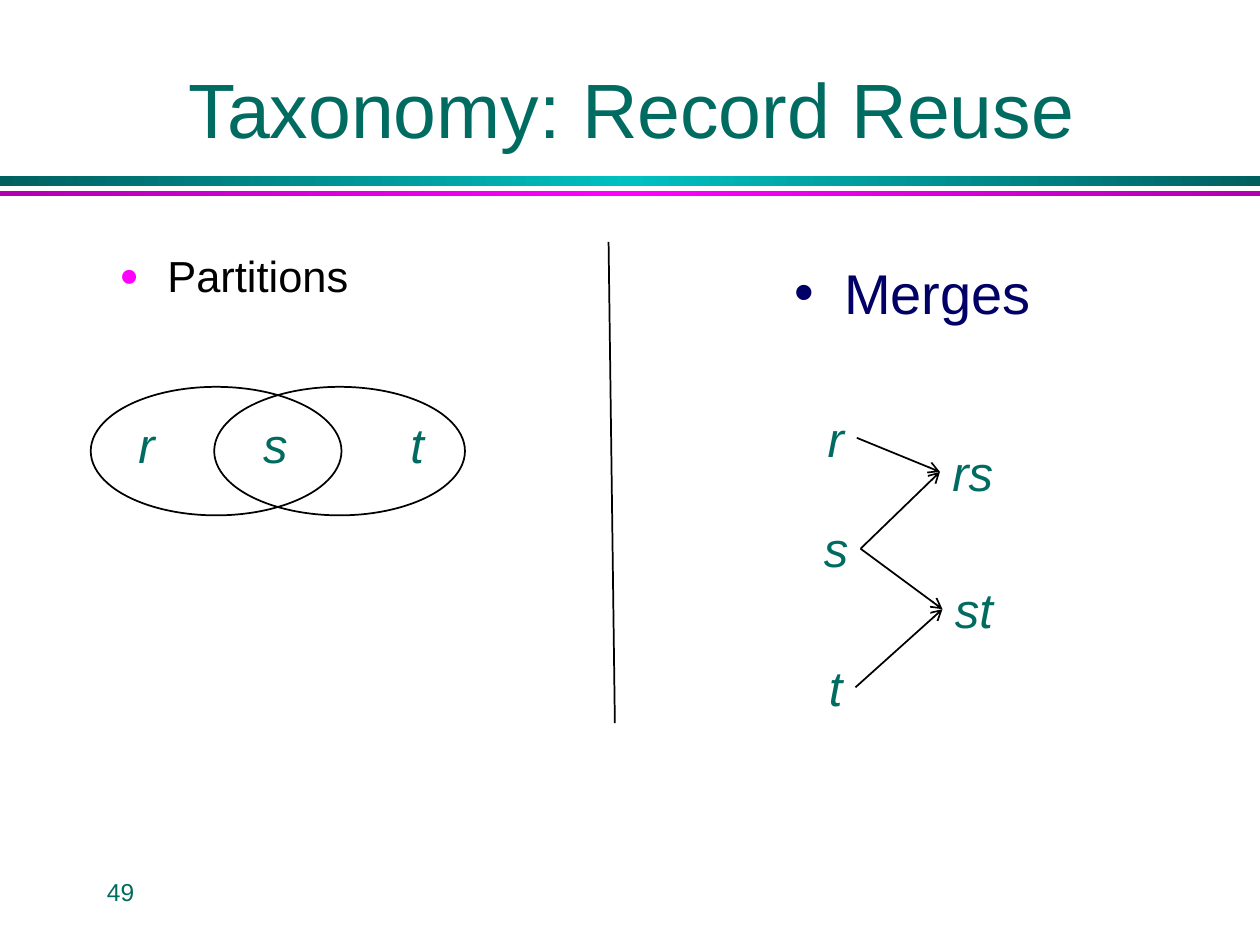
from copy import deepcopy
from pptx import Presentation
from pptx.dml.color import RGBColor
from pptx.enum.shapes import MSO_CONNECTOR as Line, MSO_SHAPE as Shape
from pptx.enum.text import MSO_ANCHOR as Anchor, PP_ALIGN as Align
from pptx.oxml.ns import qn
from pptx.util import Inches, Pt

TEAL = RGBColor(0x00, 0x6B, 0x61)
BLACK = RGBColor(0, 0, 0)
NAVY = RGBColor(0x00, 0x00, 0x66)
PINK = RGBColor(0xFF, 0x00, 0xFF)
PLUM = RGBColor(0xB2, 0x00, 0xB2)
CYAN = RGBColor(0x00, 0xC0, 0xC0)
DEEP = RGBColor(0x00, 0x60, 0x60)

# Content: boxes are left, top, width, height
TITLE = "Taxonomy: Record Reuse"
BARS = [(1.4, 0.08, DEEP, CYAN), (1.52, 0.04, PLUM, PINK)]
HEADS = [  # text, box, inset, size, colour, indent, bullet, its colour, its size
    ("Partitions", (0.85, 1.93, 2.46, 0.55), (0.1, 0.05), 24.8, BLACK,
     0.38, "●", PINK, 75),
    ("Merges", (6.26, 2.05, 2.46, 0.55), (0.05, 0), 32, NAVY,
     0.39, "•", NAVY, 100),
]
SETS = ["r", "s", "t"]
STOPS = [0.99, 2.16]
OVALS = [0.72, 1.7]
NODES = {
    "r": (6.47, 3.19, 0.33), "s": (6.44, 4.07, 0.39), "t": (6.48, 5.17, 0.31),
    "rs": (7.46, 3.46, 0.52), "st": (7.48, 4.55, 0.5),
}
LINKS = [("r", "rs"), ("s", "rs"), ("s", "st"), ("t", "st")]

prs = Presentation()
prs.slide_width, prs.slide_height = Inches(10), Inches(7.5)
slide = prs.slides.add_slide(prs.slide_layouts[6])
shapes = slide.shapes


def add_sub(node, tag, **attrs):
    sub = node.makeelement(qn(tag), attrs)
    node.append(sub)
    return sub


def style(para, size, color, italic=None):
    font = para.font
    font.name, font.size, font.italic = "Arial", Pt(size), italic
    font.color.rgb = color


def add_text(text, box, size, color=TEAL, inset=(0.1, 0.05), wrap=True,
             anchor=Anchor.TOP, italic=None):
    label = shapes.add_textbox(*map(Inches, box))
    frame = label.text_frame
    frame.word_wrap, frame.vertical_anchor = wrap, anchor
    frame.margin_left = frame.margin_right = Inches(inset[0])
    frame.margin_top = frame.margin_bottom = Inches(inset[1])
    para = frame.paragraphs[0]
    para.text = text
    style(para, size, color, italic)
    return label, para


def add_shape(kind, *box):
    shape = shapes.add_shape(kind, *map(Inches, box))
    shape.shadow.inherit = False
    return shape


def add_line(start, end):
    line = shapes.add_connector(Line.STRAIGHT, *map(Inches, start + end))
    line.line.color.rgb, line.line.width = BLACK, Pt(1)
    add_sub(line._element.spPr, "a:effectLst")
    return line


# Bars under the title, bright in the middle
for top, height, edge, mid in BARS:
    bar = add_shape(Shape.RECTANGLE, 0, top, 10, height)
    bar.line.fill.background()
    bar.fill.gradient()
    bar.fill.gradient_angle = 0
    first = bar._element.spPr.find(".//" + qn("a:gs"))
    first.addnext(deepcopy(first))
    stops = bar.fill.gradient_stops
    for stop, place, color in zip(stops, (0, 0.5, 1), (edge, mid, edge)):
        stop.position, stop.color.rgb = place, color

# Title and page number
_, para = add_text(TITLE, (0.67, 0.19, 8.69, 1.08), 44, anchor=Anchor.BOTTOM)
para.alignment = Align.CENTER
add_text("49", (0.75, 6.83, 2.08, 0.5), 14, anchor=Anchor.MIDDLE)

# Column headings
for text, box, inset, size, color, indent, mark, tint, scale in HEADS:
    _, para = add_text(text, box, size, color, inset)
    props = para._p.get_or_add_pPr()
    props.set("marL", str(Inches(indent)))
    props.set("indent", str(-Inches(indent)))
    bullet = [add_sub(props, "a:buClr"),
              add_sub(props, "a:buSzPct", val=str(scale * 1000)),
              add_sub(props, "a:buFont", typeface="Arial"),
              add_sub(props, "a:buChar", char=mark)]
    add_sub(bullet[0], "a:srgbClr", val=str(tint))
    props.append(props.find(qn("a:defRPr")))  # font comes after the bullet

# Divider
add_line((4.83, 1.92), (4.88, 5.74))

# Partitions: overlapping sets
_, para = add_text("\t".join(SETS), (1, 3.24, 2.6, 0.57), 28, italic=True)
props = para._p.get_or_add_pPr()
tabs = add_sub(props, "a:tabLst")
for stop in STOPS:
    add_sub(tabs, "a:tab", pos=str(Inches(stop)), algn="l")
props.append(props.find(qn("a:defRPr")))
for left in OVALS:
    oval = add_shape(Shape.OVAL, left, 3.07, 1.99, 1.02)
    oval.fill.background()
    oval.line.color.rgb, oval.line.width = BLACK, Pt(1)

# Merges: records joined pairwise
nodes = {name: add_text(name, (left, top, width, 0.57), 28, wrap=False,
                        italic=True)[0]
         for name, (left, top, width) in NODES.items()}
for source, target in LINKS:
    link = add_line((0, 0), (1, 1))
    link.begin_connect(nodes[source], 3)
    link.end_connect(nodes[target], 1)
    add_sub(link.line._get_or_add_ln(), "a:tailEnd", type="arrow")

prs.save("out.pptx")
